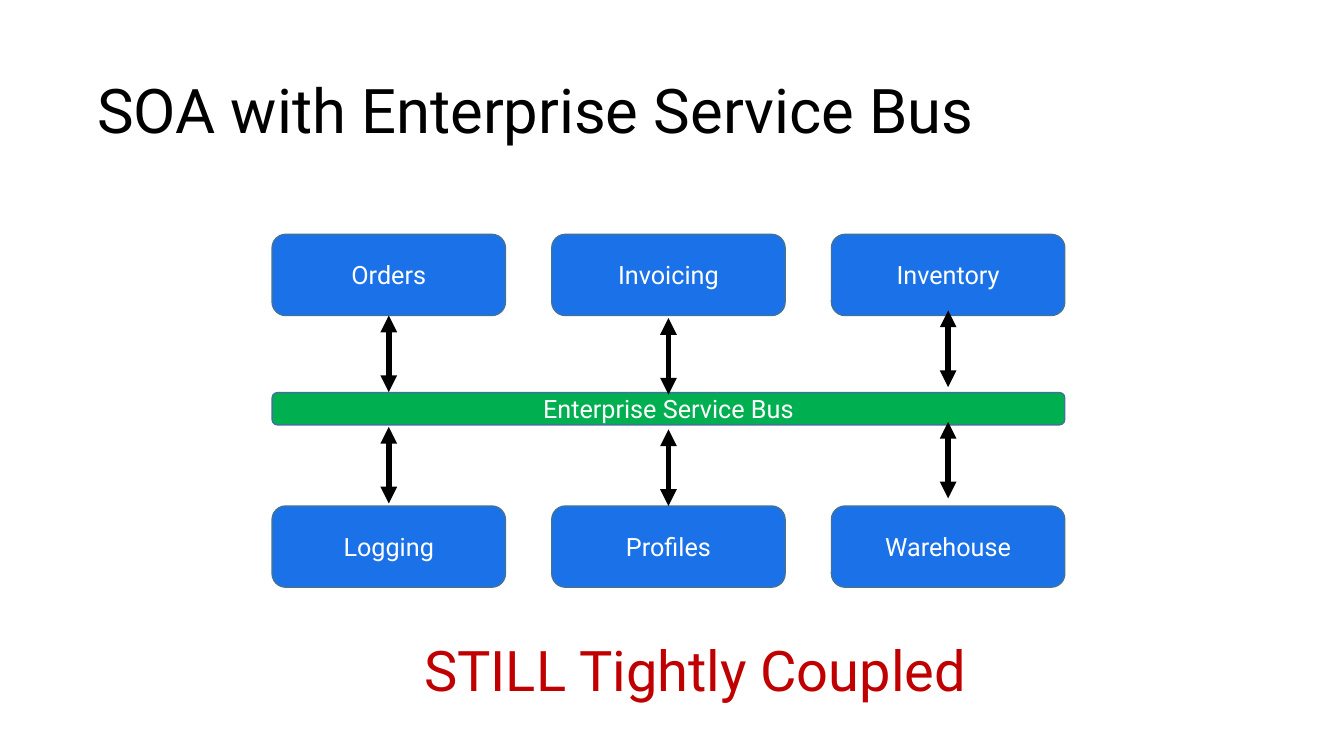
from dataclasses import dataclass
from typing import Optional

from lxml.etree import SubElement
from pptx import Presentation
from pptx.dml.color import RGBColor
from pptx.enum.shapes import MSO_CONNECTOR, MSO_SHAPE
from pptx.enum.text import MSO_ANCHOR, PP_ALIGN
from pptx.oxml.ns import qn
from pptx.util import Inches, Pt


@dataclass(frozen=True)
class Theme:
    font: str = "Roboto"
    black: str = "000000"
    white: str = "FFFFFF"
    service: str = "1B72E8"
    bus: str = "00B050"
    outline: str = "42719B"
    warning: str = "C00000"
    title_size: int = 88
    warning_size: int = 80
    label_size: int = 36
    outline_width: int = 2
    arrow_width: int = 8


@dataclass(frozen=True)
class Box:
    text: str
    left: float
    top: float
    width: float
    height: float
    fill: str


@dataclass(frozen=True)
class Arrow:
    x: float
    top: float
    above: Optional[object] = None  # box whose bottom side the arrow joins
    below: Optional[object] = None  # box whose top side the arrow joins


THEME = Theme()

# Grid of services above and below the bus
LEFT, PITCH, BOX_W, BOX_H = 5.4, 5.55, 4.63, 1.61
UPPER_TOP, LOWER_TOP = 4.65, 10.04
UPPER = ["Orders", "Invoicing", "Inventory"]
LOWER = ["Logging", "Profiles", "Warehouse"]
BUS = Box("Enterprise Service Bus", LEFT, 7.79, 2 * PITCH + BOX_W, 0.64, THEME.bus)

# Arrows: each column has its own vertical shift
ARROW_LENGTH = 1.52
UPPER_ARROW_TOP, LOWER_ARROW_TOP = 6.26, 8.47
COLUMN_SHIFTS = [0, 0.05, -0.1]


def write(tf, text: str, size: int, color: str, align=PP_ALIGN.LEFT) -> None:
    tf.text = text
    tf.margin_left = tf.margin_right = Inches(0.1)
    tf.margin_top = tf.margin_bottom = Inches(0.1)
    p = tf.paragraphs[0]
    p.alignment = align
    font = p.runs[0].font
    font.name, font.size = THEME.font, Pt(size)
    font.color.rgb = RGBColor.from_string(color)


def draw_box(s, box: Box):
    sp = s.shapes.add_shape(MSO_SHAPE.ROUNDED_RECTANGLE, Inches(box.left),
                            Inches(box.top), Inches(box.width), Inches(box.height))
    sp.shadow.inherit = False
    sp.fill.solid()
    sp.fill.fore_color.rgb = RGBColor.from_string(box.fill)
    sp.line.color.rgb = RGBColor.from_string(THEME.outline)
    sp.line.width = Pt(THEME.outline_width)
    tf = sp.text_frame
    write(tf, box.text, THEME.label_size, THEME.white, PP_ALIGN.CENTER)
    tf.margin_top = tf.margin_bottom = 0
    tf.vertical_anchor = MSO_ANCHOR.MIDDLE
    return sp


def draw_row(s, names: list[str], top: float) -> list:
    return [draw_box(s, Box(name, LEFT + i * PITCH, top, BOX_W, BOX_H, THEME.service))
            for i, name in enumerate(names)]


def draw_arrow(s, arrow: Arrow) -> None:
    x = Inches(arrow.x)
    line = s.shapes.add_connector(MSO_CONNECTOR.STRAIGHT, x, Inches(arrow.top),
                                  x, Inches(arrow.top + ARROW_LENGTH))
    if arrow.above is not None:
        line.begin_connect(arrow.above, 2)
    if arrow.below is not None:
        line.end_connect(arrow.below, 0)
    line.line.color.rgb = RGBColor.from_string(THEME.black)
    line.line.width = Pt(THEME.arrow_width)
    ln = line.line._get_or_add_ln()
    for end in ("a:headEnd", "a:tailEnd"):
        SubElement(ln, qn(end), type="triangle")
    SubElement(line._element.spPr, qn("a:effectLst"))


def main() -> None:
    prs = Presentation()
    prs.slide_width, prs.slide_height = Inches(26.67), Inches(15)
    s = prs.slides.add_slide(prs.slide_layouts[6])

    # Title
    tf = s.shapes.add_textbox(Inches(1.83), Inches(0.8), Inches(23), Inches(2.9)).text_frame
    tf.word_wrap = True
    tf.vertical_anchor = MSO_ANCHOR.MIDDLE
    write(tf, "SOA with Enterprise Service Bus", THEME.title_size, THEME.black)
    tf.paragraphs[0].line_spacing = 0.9

    # Services and bus
    upper = draw_row(s, UPPER, UPPER_TOP)
    lower = draw_row(s, LOWER, LOWER_TOP)
    draw_box(s, BUS)

    # Arrows between the services and the bus
    for i, shift in enumerate(COLUMN_SHIFTS):
        x = LEFT + i * PITCH + BOX_W / 2
        draw_arrow(s, Arrow(x, UPPER_ARROW_TOP + shift, above=upper[i] if i == 0 else None))
        draw_arrow(s, Arrow(x, LOWER_ARROW_TOP + shift, below=lower[i] if i == 1 else None))

    # Conclusion
    tf = s.shapes.add_textbox(Inches(8.32), Inches(12.51), Inches(10.97), Inches(1.51)).text_frame
    tf.word_wrap = False
    write(tf, "STILL Tightly Coupled", THEME.warning_size, THEME.warning)

    prs.save("out.pptx")


if __name__ == "__main__":
    main()
